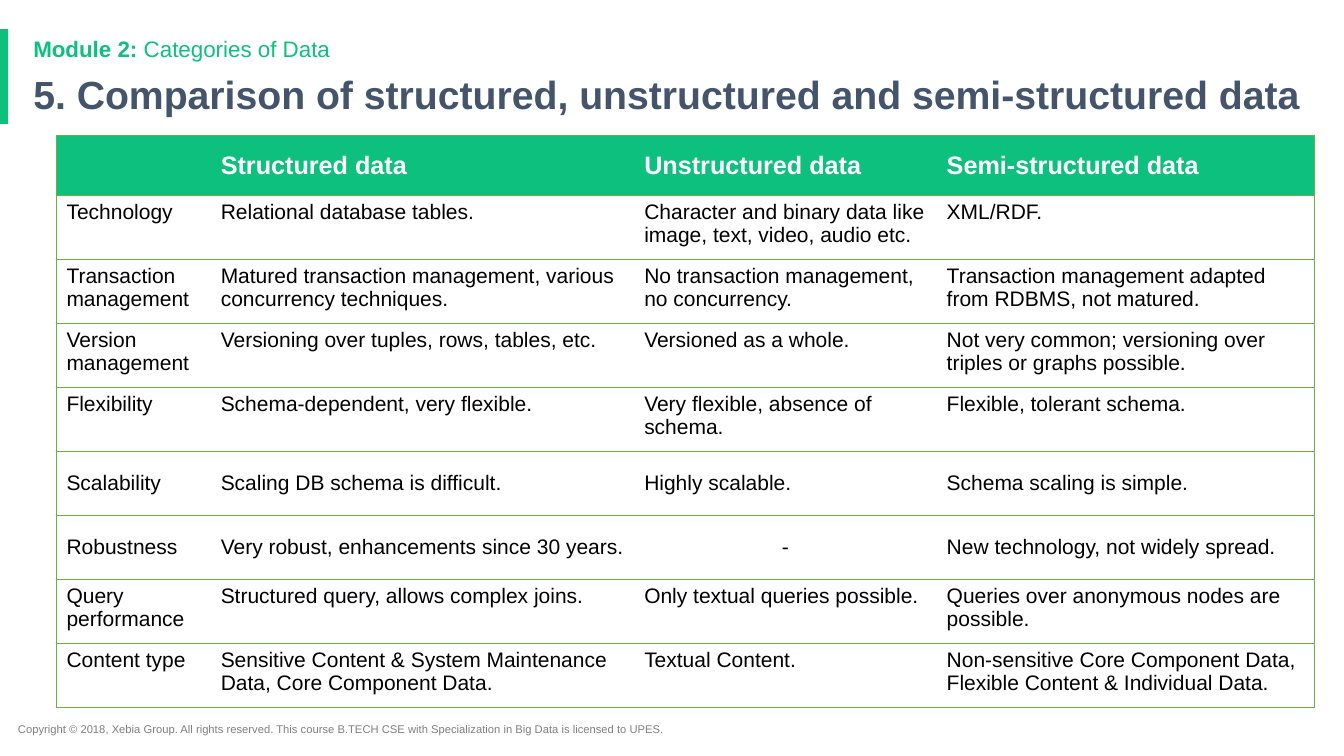
from lxml import etree
from pptx import Presentation
from pptx.dml.color import RGBColor
from pptx.enum.shapes import MSO_SHAPE
from pptx.enum.text import MSO_ANCHOR, MSO_AUTO_SIZE, PP_ALIGN
from pptx.oxml.ns import qn
from pptx.util import Inches, Pt

TITLE = "5. Comparison of structured, unstructured and semi-structured data"
MODULE = [("Module 2:", True), (" Categories of Data", False)]
COPYRIGHT = ("Copyright © 2018, Xebia Group. All rights reserved. This course B.TECH CSE "
             "with Specialization in Big Data is licensed to UPES.")
ROWS = [
    ("", "Structured data", "Unstructured data", "Semi-structured data"),
    ("Technology", "Relational database tables.",
     "Character and binary data like image, text, video, audio etc.", "XML/RDF."),
    ("Transaction management",
     "Matured transaction management, various concurrency techniques.",
     "No transaction management, no concurrency.",
     "Transaction management adapted from RDBMS, not matured."),
    ("Version management", "Versioning over tuples, rows, tables, etc.",
     "Versioned as a whole.",
     "Not very common; versioning over triples or graphs possible."),
    ("Flexibility", "Schema-dependent, very flexible.",
     "Very flexible, absence of schema.", "Flexible, tolerant schema."),
    ("Scalability", "Scaling DB schema is difficult.", "Highly scalable.",
     "Schema scaling is simple."),
    ("Robustness", "Very robust, enhancements since 30 years.", "-",
     "New technology, not widely spread."),
    ("Query performance", "Structured query, allows complex joins.",
     "Only textual queries possible.",
     "Queries over anonymous nodes are possible."),
    ("Content type",
     "Sensitive Content & System Maintenance Data, Core Component Data.",
     "Textual Content.",
     "Non-sensitive Core Component Data, Flexible Content & Individual Data."),
]
COL_WIDTHS = (1.53, 4.2, 3, 3.75)
HEADER_HEIGHT, ROW_HEIGHT = 0.6, 0.635
CENTRED_ROWS = ("Scalability", "Robustness")

FONT = "Arial"
GREEN = RGBColor(0x0E, 0xC0, 0x7D)
BORDER = RGBColor(0x70, 0xAD, 0x47)
SLATE = RGBColor(0x44, 0x54, 0x6A)
GREY = RGBColor(0x7F, 0x7F, 0x7F)
WHITE = RGBColor(0xFF, 0xFF, 0xFF)
BLACK = RGBColor(0, 0, 0)
NO_STYLE = "{2D5ABB26-0587-4C30-8999-92F81FD0307C}"
RECTANGLE = MSO_SHAPE.RECTANGLE
TOP, MIDDLE = MSO_ANCHOR.TOP, MSO_ANCHOR.MIDDLE
LEFT, CENTER = PP_ALIGN.LEFT, PP_ALIGN.CENTER
NO_AUTOFIT = MSO_AUTO_SIZE.NONE


def add_run(p, text, size, color, bold=False):
    r = p.add_run()
    r.text = text
    r.font.name, r.font.size, r.font.bold = FONT, Pt(size), bold
    r.font.color.rgb = color


def place(sp, left, top, width, height, anchor):
    """Position a text shape and return its first paragraph, set flush left."""
    sp.left, sp.top, sp.width, sp.height = map(Inches, (left, top, width, height))
    tf = sp.text_frame
    tf.word_wrap, tf.auto_size, tf.vertical_anchor = True, NO_AUTOFIT, anchor
    p = tf.paragraphs[0]
    p.alignment, p.space_before = LEFT, Pt(0)
    return p


def add_borders(cell, sides):
    tc_pr = cell._tc.get_or_add_tcPr()
    for side in "LRTB":
        if side in sides:
            ln = etree.SubElement(tc_pr, qn("a:ln" + side), w=str(Pt(0.75)))
            fill = etree.SubElement(ln, qn("a:solidFill"))
            etree.SubElement(fill, qn("a:srgbClr"), val=str(BORDER))


def add_comparison(slide):
    n_rows, n_cols = len(ROWS), len(COL_WIDTHS)
    height = HEADER_HEIGHT + ROW_HEIGHT * (n_rows - 1)
    frame = slide.shapes.add_table(n_rows, n_cols, Inches(0.56), Inches(1.34),
                                   Inches(sum(COL_WIDTHS)), Inches(height))
    table = frame.table
    table._tbl.tblPr.find(qn("a:tableStyleId")).text = NO_STYLE
    table.horz_banding = False
    for column, width in zip(table.columns, COL_WIDTHS):
        column.width = Inches(width)
    for i, row in enumerate(ROWS):
        header = i == 0
        table.rows[i].height = Inches(HEADER_HEIGHT if header else ROW_HEIGHT)
        # Body rows are ruled off in pairs
        row_sides = ("T" if header or i % 2 else "") + ("B" if i % 2 == 0 else "")
        for j, text in enumerate(row):
            cell = table.cell(i, j)
            add_borders(cell, row_sides + {0: "L", n_cols - 1: "R"}.get(j, ""))
            cell.vertical_anchor = MIDDLE if header or row[0] in CENTRED_ROWS else TOP
            if header:
                cell.fill.solid()
                cell.fill.fore_color.rgb = GREEN
            else:
                cell.fill.background()
            if text:
                p = cell.text_frame.paragraphs[0]
                p.alignment = CENTER if text == "-" else LEFT
                add_run(p, text, 18 if header else 15, WHITE if header else BLACK, header)


def main():
    prs = Presentation()
    prs.slide_width, prs.slide_height = Inches(13.33), Inches(7.5)
    s = prs.slides.add_slide(prs.slide_layouts[1])

    bar = s.shapes.add_shape(RECTANGLE, 0, Inches(0.29), Inches(0.08), Inches(0.94))
    bar.shadow.inherit = False
    bar.fill.solid()
    bar.fill.fore_color.rgb = GREEN
    bar.line.fill.background()

    p = place(s.shapes.title, 0.23, 0.69, 13.1, 0.54, MIDDLE)
    p.line_spacing = 0.9
    add_run(p, TITLE, 28, SLATE, True)

    p = place(s.placeholders[1], 0.23, 0.3, 11.5, 0.33, TOP)
    p_pr = p._p.get_or_add_pPr()
    p_pr.set("marL", "0")
    p_pr.set("indent", "0")
    etree.SubElement(p_pr, qn("a:buNone"))
    for text, bold in MODULE:
        add_run(p, text, 16, GREEN, bold)

    add_comparison(s)

    p = place(s.shapes.add_textbox(0, 0, 0, 0), 0.08, 7.12, 7.13, 0.24, TOP)
    add_run(p, COPYRIGHT, 8, GREY)
    prs.save("out.pptx")


if __name__ == "__main__":
    main()
